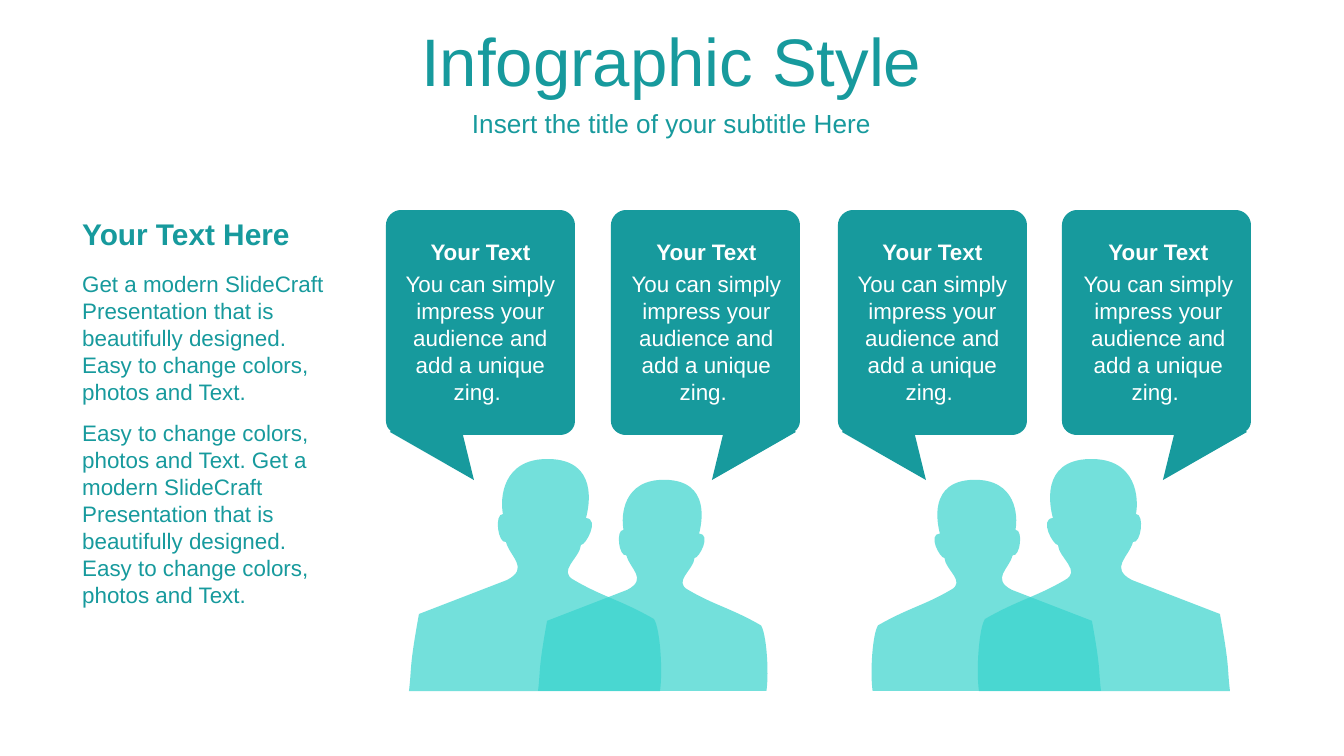
import pptx
import pptx.dml.color
import pptx.enum.text
import pptx.oxml.ns
import pptx.util
from lxml import etree

PX = 914400 / 134.4  # EMU per px
TEAL, AQUA, WHITE = "179A9D", "38D4CD", "FFFFFF"
ALIGN = pptx.enum.text.PP_ALIGN
ANCHOR = pptx.enum.text.MSO_ANCHOR
rgb = pptx.dml.color.RGBColor.from_string
qn = pptx.oxml.ns.qn

prs = pptx.Presentation()
prs.slide_width, prs.slide_height = round(1344 * PX), round(756 * PX)
s = prs.slides.add_slide(prs.slide_layouts[0])


def write(sp, at, text, size, color=TEAL, bold=False, align=ALIGN.LEFT, anchor=ANCHOR.TOP):
    for name, value in zip(("left", "top", "width", "height"), at):
        setattr(sp, name, round(value * PX))
    tf = sp.text_frame
    frame_format = {"word_wrap": True, "vertical_anchor": anchor,
                    "auto_size": pptx.enum.text.MSO_AUTO_SIZE.NONE}
    for name, value in frame_format.items():
        setattr(tf, name, value)
    p = tf.paragraphs[0]
    p.alignment, p.space_before = align, pptx.util.Pt(0)
    r = p.add_run()
    r.text = text
    for name, value in {"name": "Arial", "size": pptx.util.Pt(size), "bold": bold}.items():
        setattr(r.font, name, value)
    r.font.color.rgb = rgb(color)


def draw(outline, left, top, color, width, flip=False, scale=1):
    """Draw an outline whose steps are one point (line) or three (Bezier curve)."""
    steps = [[(round((left + scale * (width - x if flip else x)) * PX),
               round((top + scale * y) * PX)) for x, y in step] for step in outline]
    builder = s.shapes.build_freeform(*steps[0][0])
    builder.add_line_segments([step[-1] for step in steps[1:]], close=True)
    sp = builder.convert_to_shape()
    # Turn the segments that have control points into curves
    segments = list(sp._element.iter(qn("a:lnTo")))
    for segment, step in zip(segments, steps[1:]):
        if len(step) == 3:
            curve = etree.Element(qn("a:cubicBezTo"))
            for x, y in step:
                etree.SubElement(curve, qn("a:pt"), x=str(x - sp.left), y=str(y - sp.top))
            segment.getparent().replace(segment, curve)
    sp.shadow.inherit = False
    sp.fill.solid()
    sp.fill.fore_color.rgb = rgb(color)
    sp.line.fill.background()
    return sp


# Title and subtitle
write(s.shapes.title, (0, 18, 1343, 83), "Infographic Style", 36,
      align=ALIGN.CENTER, anchor=ANCHOR.MIDDLE)
write(s.placeholders[1], (0, 102, 1343, 42), "Insert the title of your subtitle Here", 14,
      align=ALIGN.CENTER, anchor=ANCHOR.MIDDLE)

# People: one tall and one short figure, mirrored on the right
PERSON_W, PERSON_H, BASE, MIRROR = 251, 232, 691, 1639
person = [
    [(251, 232)],
    [(254, 211), (251, 169), (245, 160)],
    [(212, 141), (194, 138), (165, 121)],
    [(148, 112), (171, 99), (172, 86)],
    [(177, 86), (191, 60), (177, 59)],
    [(180, 48), (190, 1), (140, 0)],
    [(93, -1), (91, 40), (94, 55)],
    [(85, 55), (89, 85), (97, 83)],
    [(101, 98), (121, 109), (98, 121)],
    [(10, 155)],
    [(0, 210), (3, 207), (0, 232)],
]
for flip in (False, True):
    for left, scale in ((538, 0.91), (409, 1)):
        x = MIRROR - left - PERSON_W * scale if flip else left
        sp = draw(person, x, BASE - PERSON_H * scale, AQUA, PERSON_W, flip, scale)
        color = next(sp._element.spPr.iter(qn("a:srgbClr")))
        etree.SubElement(color, qn("a:alpha"), val="70000")

# Speech bubbles, every second one mirrored
BUBBLE_W = 189
bubble = [
    [(15, 0)], [(174, 0)],
    [(182, 0), (189, 7), (189, 15)],
    [(189, 211)],
    [(189, 219), (182, 225), (174, 225)],
    [(77, 225)], [(88, 270)], [(4, 222)], [(5, 221)],
    [(2, 219), (0, 215), (0, 211)],
    [(0, 15)],
    [(0, 7), (7, 0), (15, 0)],
]
for i, left in enumerate((386, 611, 838, 1062)):
    draw(bubble, left, 210, TEAL, BUBBLE_W, flip=i % 2 == 1)
    x = 389 + 226 * i
    write(s.shapes.add_textbox(0, 0, 0, 0), (x, 264, 183, 147),
          "You can simply impress your audience and add a unique zing. ", 12, WHITE,
          align=ALIGN.CENTER)
    write(s.shapes.add_textbox(0, 0, 0, 0), (x, 231, 183, 39), "Your Text", 12, WHITE,
          bold=True, align=ALIGN.CENTER)

# Left column
EASY = "Easy to change colors, photos and Text."
MODERN = "Get a modern SlideCraft Presentation that is beautifully designed."
for top, height, text, size, bold in (
    (209, 48, "Your Text Here", 16, True),
    (264, 147, f"{MODERN} {EASY}", 12, False),
    (413, 200, f"{EASY} {MODERN} {EASY}", 12, False),
):
    write(s.shapes.add_textbox(0, 0, 0, 0), (69, top, 285, height), text, size, bold=bold)

prs.save("out.pptx")
